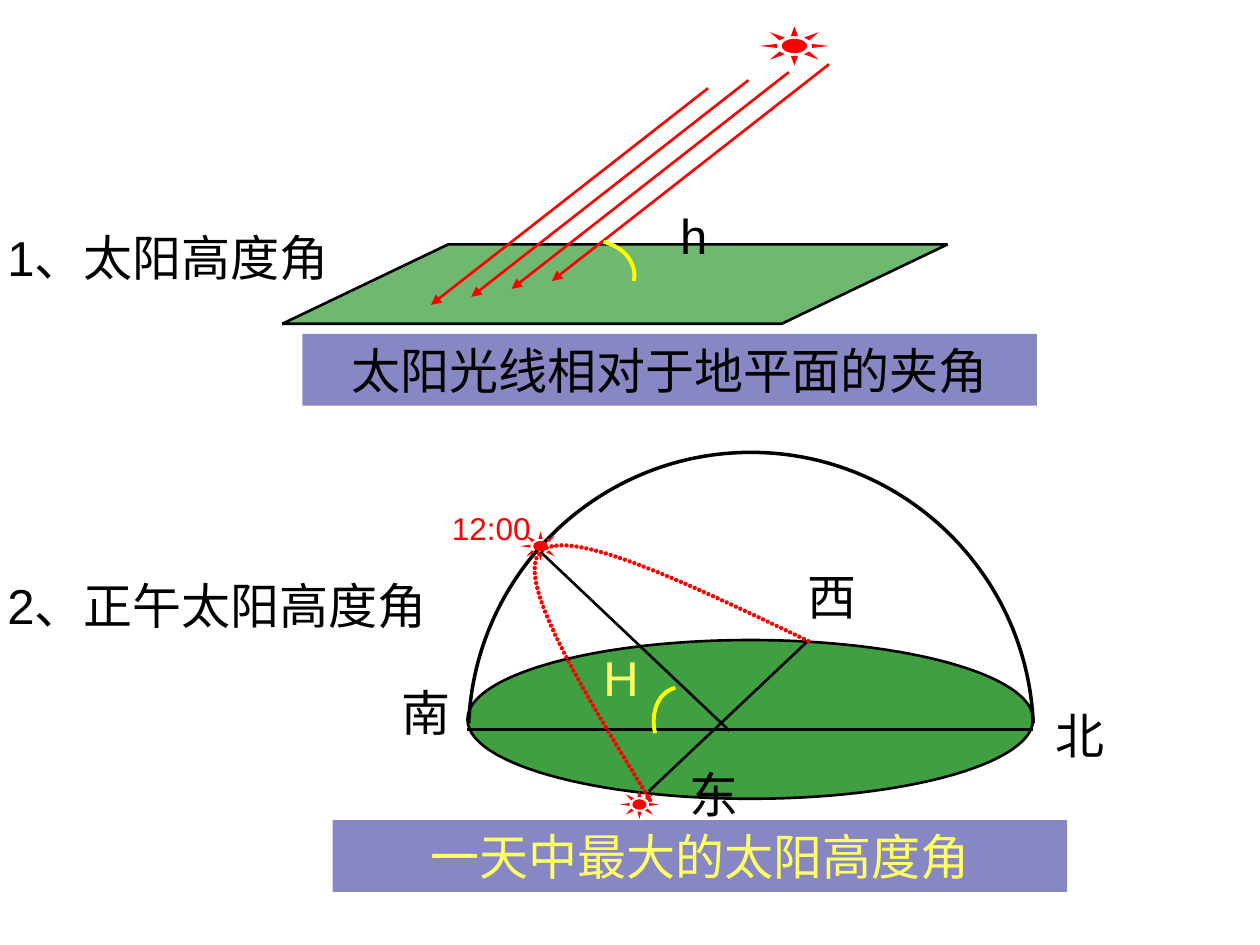
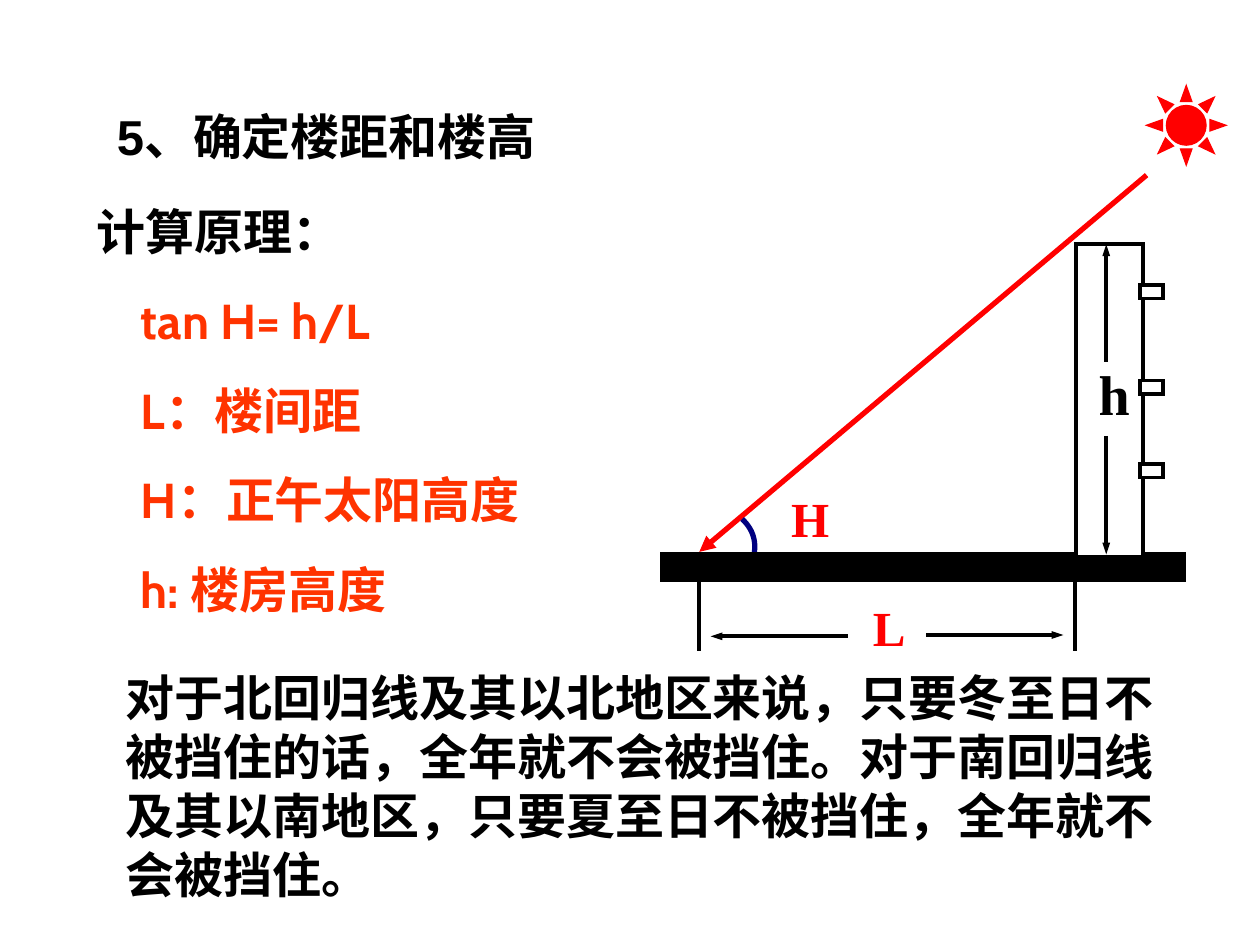
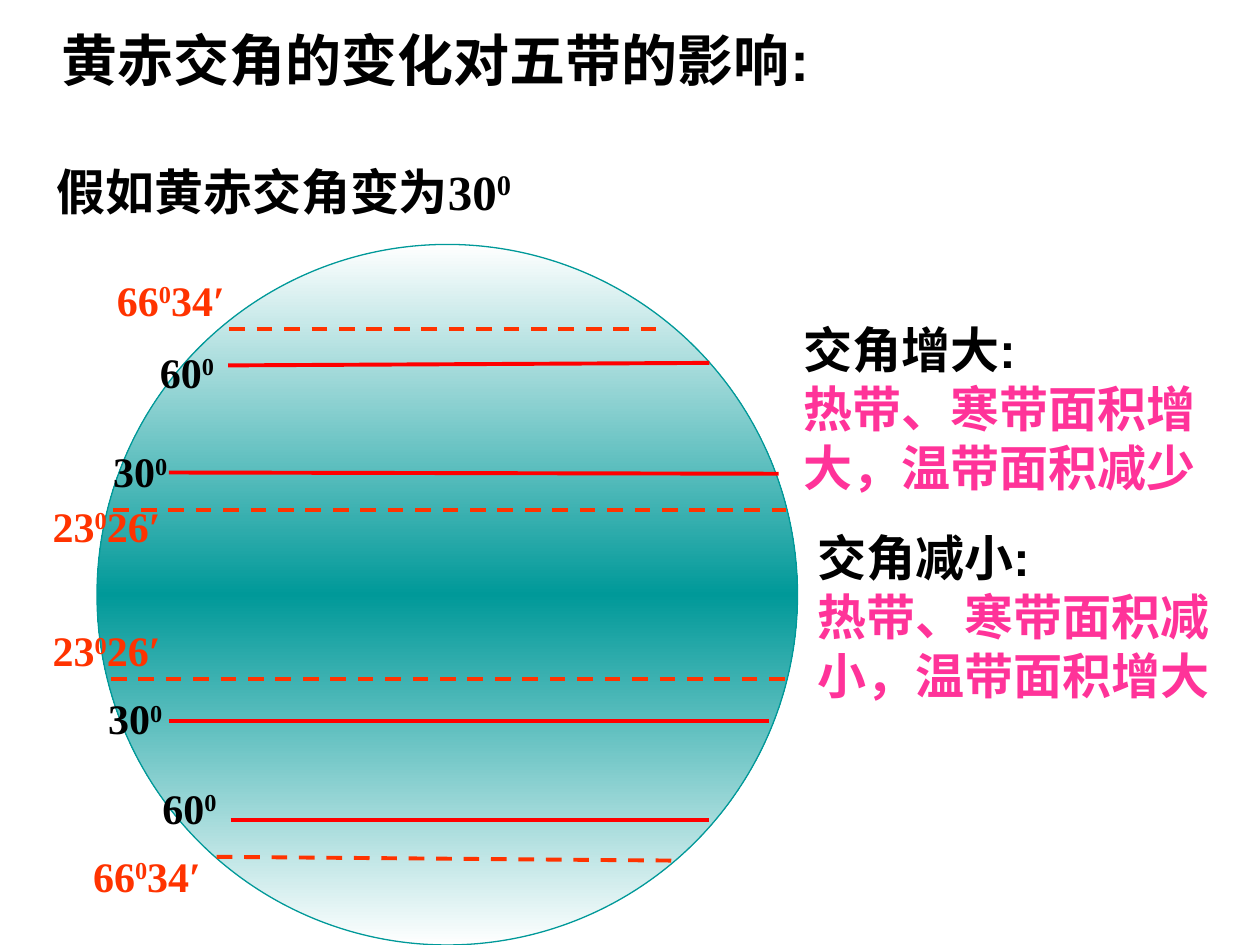
"""Build three slides on solar altitude, building spacing and the five climate zones."""
import copy

import pptx
import pptx.dml.color
import pptx.enum.dml
import pptx.enum.shapes
import pptx.enum.text
import pptx.oxml
import pptx.oxml.ns
import pptx.util

Inches = pptx.util.Inches
Pt = pptx.util.Pt
RGBColor = pptx.dml.color.RGBColor
SHAPE = pptx.enum.shapes.MSO_SHAPE
DASH = pptx.enum.dml.MSO_LINE
qn = pptx.oxml.ns.qn

BLACK = RGBColor(0x00, 0x00, 0x00)
WHITE = RGBColor(0xFF, 0xFF, 0xFF)
RED = RGBColor(0xFF, 0x00, 0x00)
ORANGE = RGBColor(0xFF, 0x33, 0x00)
PINK = RGBColor(0xFF, 0x33, 0x99)
YELLOW = RGBColor(0xFF, 0xFF, 0x00)
PALE_YELLOW = RGBColor(0xFF, 0xFF, 0x66)
GREEN = RGBColor(0x00, 0x80, 0x00)
NAVY = RGBColor(0x00, 0x00, 0x80)
TEAL = RGBColor(0x00, 0x99, 0x99)
SANS, SERIF, ROUNDED = "Arial", "Times New Roman", "Cabin"

TOPICS = [("1、太阳高度角", (-0.04, 1.76, 2.94, 0.57)),
          ("2、正午太阳高度角", (-0.04, 4.52, 3.71, 0.57))]
DIRECTIONS = [("南", 3.09, 5.37), ("北", 8.28, 5.55), ("西", 6.31, 4.45), ("东", 5.37, 6.02)]
DEFINITIONS = [("太阳光线相对于地平面的夹角", 2.4, 2.65, BLACK),
               ("一天中最大的太阳高度角", 2.64, 6.51, PALE_YELLOW)]
RAY_COUNT = 4
HORIZON = [((3.71, 5.79), (8.2, 5.79)), ((6.42, 5.08), (5.15, 6.28))]
DOME = [(3.72, 5.74), (3.77, 4.54), (4.76, 3.59), (5.96, 3.59),
        (7.16, 3.59), (8.15, 4.54), (8.2, 5.74)]
SUN_TRACK = [(5.16, 6.35), (4.62, 5.47), (4.08, 4.59), (4.29, 4.38),
             (4.5, 4.17), (5.46, 4.63), (6.42, 5.09)]
ALTITUDE_ANGLE = [(4.79, 1.92), (4.96, 1.96), (5.06, 2.1), (5.03, 2.23)]
NOON_ANGLE = [(5.2, 5.82), (5.16, 5.65), (5.23, 5.49), (5.36, 5.46)]

PRINCIPLE = ["计算原理：", "tan H= h/L", "L：楼间距", "H：正午太阳高度", "h: 楼房高度"]
CONCLUSION = ("对于北回归线及其以北地区来说，只要冬至日不被挡住的话，全年就不会被挡住。"
              "对于南回归线及其以南地区，只要夏至日不被挡住，全年就不会被挡住。")
SHADE_ANGLE = [(5.89, 4.12), (5.99, 4.21), (6.02, 4.34), (5.96, 4.48)]
MEASURES = [((7.35, 5.04), (8.44, 5.04)), ((6.73, 5.05), (5.64, 5.05)),
            ((8.78, 3.46), (8.78, 4.4)), ((8.78, 2.87), (8.78, 1.94))]
WINDOW_TOPS = [2.26, 3.02, 3.68]
DIAGRAM_LABELS = [("H", (6.18, 3.83, 0.63, 0.55), 28, RED),
                  ("h", (8.62, 2.8, 0.55, 0.55), 32, BLACK),
                  ("L", (6.83, 4.69, 0.6, 0.63), 28, RED)]

PRESENT_LIMITS = [
    (("23", "0", "26′"), (0.32, 3.92), (0.9, 4.05), (6.24, 4.05)),
    (("23", "0", "26′"), (0.32, 4.91), (0.88, 5.39), (6.24, 5.39)),
    (("66", "0", "34′"), (0.83, 2.13), (1.82, 2.61), (5.28, 2.61)),
    (("66", "0", "34′"), (0.64, 6.7), (1.72, 6.8), (5.33, 6.83))]
CHANGED_LIMITS = [
    (("30", "0"), (0.8, 3.49), (1.34, 3.75), (6.18, 3.76)),
    (("30", "0"), (0.76, 5.45), (1.34, 5.72), (6.1, 5.72)),
    (("60", "0"), (1.17, 2.7), (1.81, 2.9), (5.63, 2.88)),
    (("60", "0"), (1.19, 6.16), (1.83, 6.51), (5.63, 6.51))]
EFFECTS = [("交角增大:", "热带、寒带面积增大，温带面积减少", 6.28, 2.49),
           ("交角减小:", "热带、寒带面积减小，温带面积增大", 6.39, 4.14)]


def drawing(tag, attributes="", inner=""):
    """Make a drawing element."""
    return pptx.oxml.parse_xml(
        f'<a:{tag} {pptx.oxml.ns.nsdecls("a")} {attributes}>{inner}</a:{tag}>')


def write(frame, paragraphs, size, colors, font=SANS, bold=False, gap=0, indent=0, align=None):
    """Fill a frame; each paragraph is a tuple of runs whose odd ones are raised."""
    for index, runs in enumerate(paragraphs):
        paragraph = frame.add_paragraph() if index else frame.paragraphs[0]
        for position, words in enumerate(runs):
            run = paragraph.add_run()
            run.text = words
            if position % 2:
                run.font._element.set("baseline", "30000")
        if index:
            paragraph.space_before = Pt(gap)
            paragraph._p.get_or_add_pPr().set("marL", str(Inches(indent)))
        if align:
            paragraph.alignment = align
        paragraph.font.size = Pt(size)
        paragraph.font.name = font
        paragraph.font.bold = bold
        paragraph.font.color.rgb = colors[min(index, len(colors) - 1)]


def label(slide, box, paragraphs, size, colors, wrap=True, **style):
    """Add a text box that grows with its text."""
    frame = slide.shapes.add_textbox(*map(Inches, box)).text_frame
    frame.word_wrap = wrap
    frame.auto_size = pptx.enum.text.MSO_AUTO_SIZE.SHAPE_TO_FIT_TEXT
    write(frame, paragraphs, size, colors, **style)


def outline(shape, color, width):
    """Draw the edge of a shape, or none without a width."""
    shape.shadow.inherit = False
    if width:
        shape.line.color.rgb = color
        shape.line.width = Pt(width)
    else:
        shape.line.fill.background()


def solid(slide, kind, box, color, edge=BLACK, width=0, opacity=100, adjust=None):
    """Add a filled preset shape with sharp corners."""
    shape = slide.shapes.add_shape(kind, *map(Inches, box))
    if adjust is not None:
        shape.adjustments[0] = adjust
    shape.fill.solid()
    shape.fill.fore_color.rgb = color
    if opacity < 100:
        tint = shape.element.spPr.find(".//" + qn("a:srgbClr"))
        tint.append(drawing("alpha", f'val="{opacity * 1000}"'))
    outline(shape, edge, width)
    shape.element.spPr.find(qn("a:ln")).append(drawing("miter", 'lim="800000"'))
    return shape


def line(slide, start, end, color, width, head=None, dash=None):
    """Add a straight line, with an arrowhead of the given breadth at its end."""
    connector = slide.shapes.add_connector(
        pptx.enum.shapes.MSO_CONNECTOR.STRAIGHT, *map(Inches, start + end))
    connector.line.color.rgb = color
    connector.line.width = Pt(width)
    if dash:
        connector.line.dash_style = dash
    properties = connector.element.spPr
    if head:
        properties.find(qn("a:ln")).append(drawing("tailEnd", f'type="triangle" w="{head}"'))
    properties.append(drawing("effectLst"))


def curve(slide, controls, color, width, dotted=False):
    """Trace joined cubic curves through their control points."""
    points = [tuple(map(Inches, point)) for point in controls]
    builder = slide.shapes.build_freeform(*points[0])
    builder.add_line_segments(points[1:], close=False)
    shape = builder.convert_to_shape()
    trace = shape.element.spPr.find(".//" + qn("a:path"))
    sides = trace.findall(qn("a:lnTo"))
    for first in range(0, len(sides), 3):
        cubic = drawing("cubicBezTo")
        for side in sides[first:first + 3]:
            cubic.append(side[0])
            trace.remove(side)
        trace.append(cubic)
    shape.fill.background()
    outline(shape, color, width)
    if dotted:
        stroke = shape.element.spPr.find(qn("a:ln"))
        stroke.set("cap", "rnd")
        stroke.append(drawing("custDash", inner='<a:ds d="100000" sp="15000"/>'))


def sun(slide, box, core=0.318, width=0):
    """Add a red sun."""
    solid(slide, SHAPE.SUN, box, RED, RED, width, adjust=core)


def build_altitude(slide):
    """Show the solar altitude and its noon value."""
    solid(slide, SHAPE.OVAL, (3.71, 5.08, 4.49, 1.26), GREEN, width=1.5, opacity=75)
    curve(slide, DOME, BLACK, 2)
    for start, end in HORIZON:
        line(slide, start, end, BLACK, 1.5)
    for direction, left, top in DIRECTIONS:
        label(slide, (left, top, 0.59, 0.57), [(direction,)], 28, [BLACK], wrap=False)

    solid(slide, SHAPE.PARALLELOGRAM, (2.24, 1.94, 5.28, 0.63), GREEN,
          width=1.5, opacity=56, adjust=2.09)
    for ray in range(RAY_COUNT):
        left, top = 5.62 + 0.32 * ray, 0.7 - 0.19 * ray / 3
        line(slide, (left, top), (left - 2.2, top + 1.72), RED, 1.5, head="med")
    sun(slide, (6.03, 0.21, 0.55, 0.31))
    for topic, box in TOPICS:
        label(slide, box, [(topic,)], 28, [BLACK])
    curve(slide, ALTITUDE_ANGLE, YELLOW, 2.25)
    label(slide, (5.3, 1.58, 0.41, 0.57), [("h",)], 28, [BLACK], wrap=False)

    curve(slide, SUN_TRACK, RED, 2.5, dotted=True)
    sun(slide, (4.92, 6.27, 0.31, 0.23))
    line(slide, (4.29, 4.38), (5.79, 5.8), BLACK, 1.5)
    sun(slide, (4.13, 4.22, 0.32, 0.23))
    curve(slide, NOON_ANGLE, YELLOW, 2.25)
    label(slide, (4.69, 5.09, 0.48, 0.57), [("H",)], 28, [PALE_YELLOW], wrap=False)

    center = pptx.enum.text.PP_ALIGN.CENTER
    for definition, left, top, color in DEFINITIONS:
        band = solid(slide, SHAPE.RECTANGLE, (left, top, 5.83, 0.57), NAVY, opacity=47)
        write(band.text_frame, [(definition,)], 28, [color], align=center)
    label(slide, (3.43, 3.99, 0.94, 0.4), [("12:00",)], 18, [RED], align=center)


def build_spacing(slide):
    """Show how the noon altitude sets the distance between buildings."""
    sun(slide, (9.1, 0.68, 0.63, 0.63), 0.25, 0.75)
    line(slide, (9.1, 1.39), (5.55, 4.38), RED, 3, head="med")
    curve(slide, SHADE_ANGLE, NAVY, 3)
    solid(slide, SHAPE.FLOWCHART_PROCESS, (5.24, 4.38, 4.17, 0.24), BLACK)
    solid(slide, SHAPE.RECTANGLE, (8.54, 1.94, 0.53, 2.48), WHITE, width=2.25)
    for start, end in MEASURES:
        line(slide, start, end, BLACK, 2.25, head="sm")
    for left in (5.55, 8.53):
        line(slide, (left, 4.61), (left, 5.17), BLACK, 2.25)
    for top in WINDOW_TOPS:
        solid(slide, SHAPE.RECTANGLE, (9.05, top, 0.18, 0.11), WHITE, width=2.25)
    for symbol, box, size, color in DIAGRAM_LABELS:
        label(slide, box, [(symbol,)], size, [color], font=SERIF, bold=True)

    label(slide, (0.83, 0.8, 3.94, 0.57), [("5、确定楼距和楼高",)], 28, [BLACK], bold=True)
    label(slide, (0.67, 1.55, 4.88, 3.41), [(row,) for row in PRINCIPLE], 28, [BLACK, ORANGE],
          font=ROUNDED, bold=True, gap=17.5, indent=0.35)
    label(slide, (0.9, 5.25, 8.51, 1.97), [(CONCLUSION,)], 28, [BLACK], bold=True)


def build_zones(slide):
    """Show how the obliquity moves the limits of the five zones."""
    label(slide, (0.35, 1.23, 4.8, 0.57), [("假如黄赤交角变为30", "0")], 28, [BLACK],
          font=SERIF, bold=True)
    globe = solid(slide, SHAPE.OVAL, (0.77, 1.94, 5.56, 5.56), TEAL, TEAL, 0.75)
    globe.fill.gradient()
    globe.fill.gradient_angle = 90
    stops = globe.element.spPr.find(".//" + qn("a:gsLst"))
    stops.append(copy.deepcopy(stops[0]))
    for stop, position, color in zip(globe.fill.gradient_stops, (0, 0.5, 1), (WHITE, TEAL, WHITE)):
        stop.position = position
        stop.color.rgb = color

    for limits, ink, stroke, dash, width in (
            (PRESENT_LIMITS, ORANGE, ORANGE, DASH.DASH, 1.06),
            (CHANGED_LIMITS, BLACK, RED, None, 0.63)):
        for latitude, corner, start, end in limits:
            line(slide, start, end, stroke, 2.25, dash=dash)
            label(slide, corner + (width, 0.5), [latitude], 24, [ink],
                  wrap=False, font=SERIF, bold=True)

    label(slide, (0.39, 0.15, 6.24, 0.64), [("黄赤交角的变化对五带的影响:",)], 32, [BLACK],
          wrap=False, bold=True)
    for change, effect, left, top in EFFECTS:
        label(slide, (left, top, 3.62, 1.5), [(change,), (effect,)], 28, [BLACK, PINK], bold=True)


def main():
    """Assemble and save the deck."""
    deck = pptx.Presentation()
    deck.slide_width, deck.slide_height = Inches(10), Inches(7.5)
    for build in (build_altitude, build_spacing, build_zones):
        build(deck.slides.add_slide(deck.slide_layouts[6]))
    deck.save("out.pptx")


if __name__ == "__main__":
    main()
